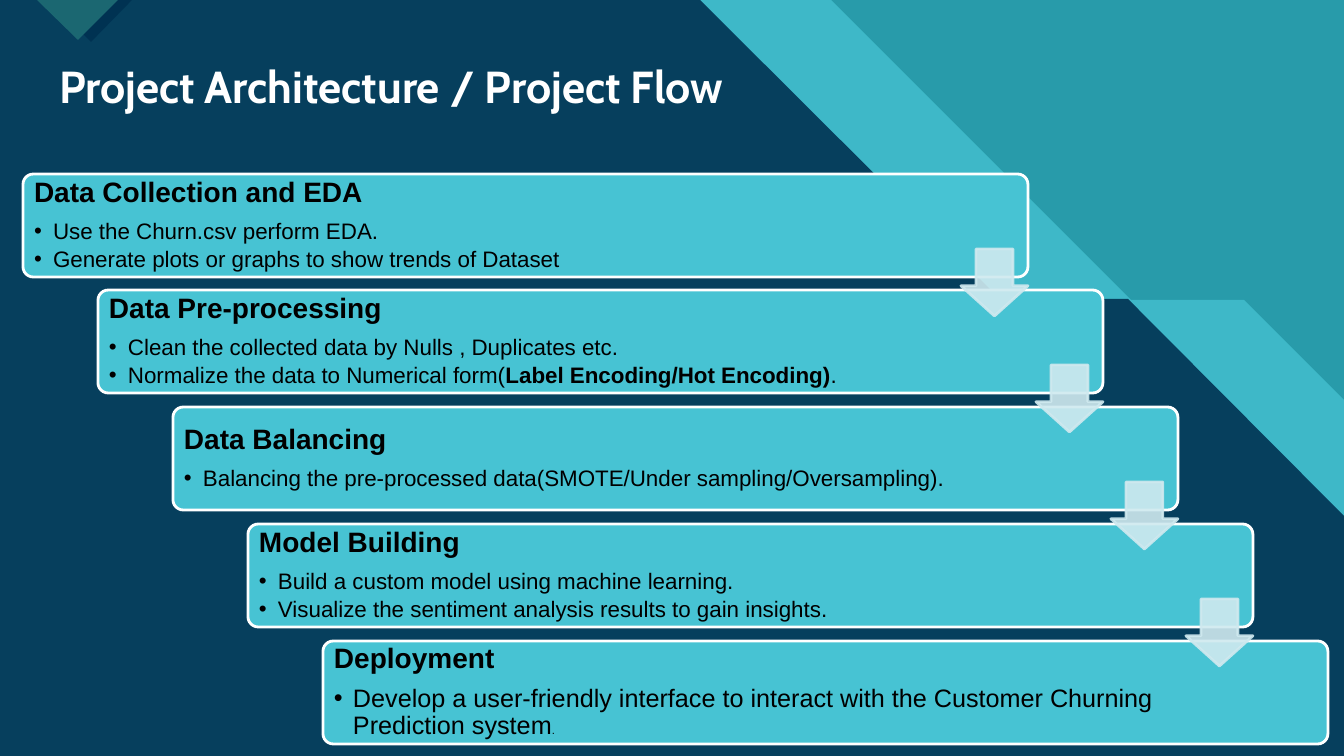
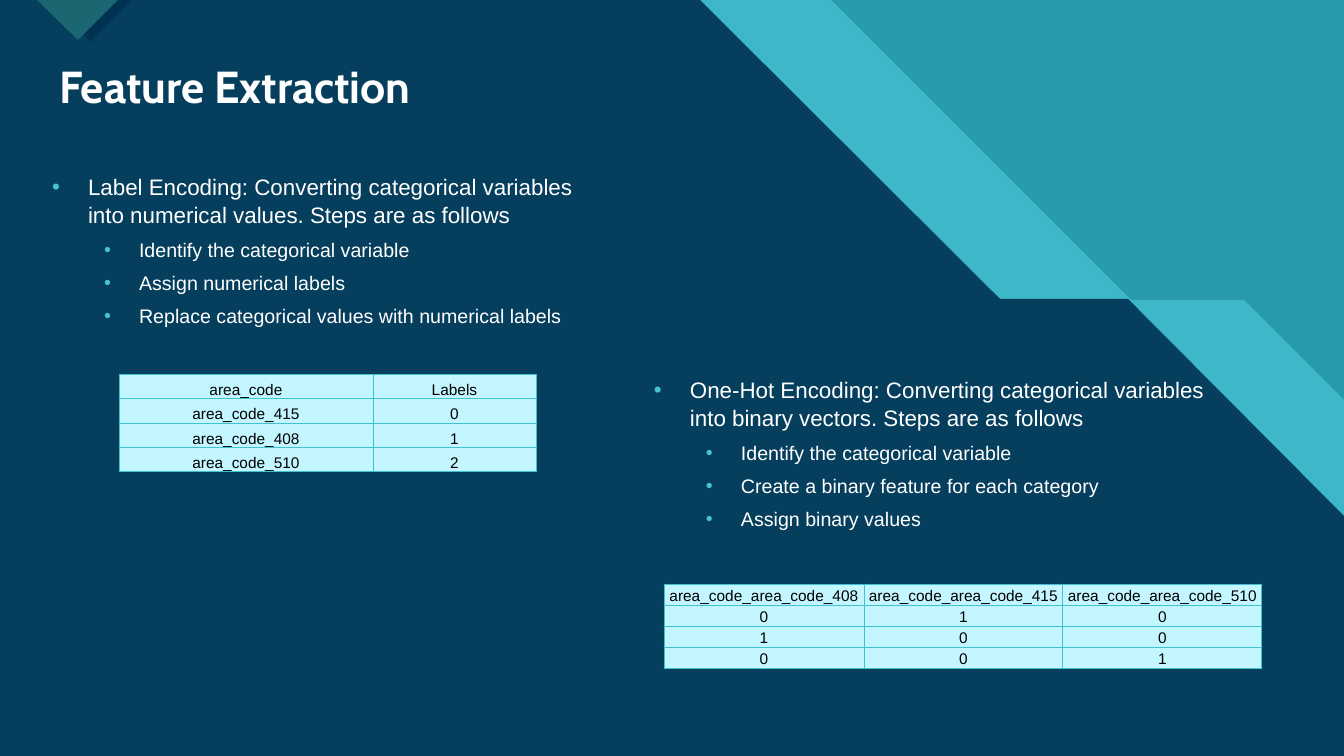
import pptx
import pptx.util
import pptx.dml.color
import pptx.enum.shapes
import pptx.enum.text
import pptx.oxml
import pptx.oxml.ns
from lxml import etree

STEPS = [
    ("Data Collection and EDA", [
        [("Use the Churn.csv perform EDA.", 16, False)],
        [("Generate plots or graphs to show trends of Dataset", 16, False)]]),
    ("Data Pre-processing", [
        [("Clean the collected data by Nulls , Duplicates etc.", 16, False)],
        [("Normalize the data to Numerical form(", 16, False),
         ("Label Encoding/Hot Encoding)", 16, True),
         (".", 16, False)]]),
    ("Data Balancing", [
        [("Balancing the pre-processed data(SMOTE/Under sampling/Oversampling).", 16, False)]]),
    ("Model Building", [
        [("Build a custom model using machine learning.", 16, False)],
        [("Visualize the sentiment analysis results to gain insights.", 16, False)]]),
    ("Deployment", [
        [("Develop a user-friendly interface to interact with the Customer Churning Prediction system", 18, False),
         (".", 8, False)]]),
]

LISTS = [
    ((28, 167, 560, 200),
     "Label Encoding: Converting categorical variables into numerical values. Steps are as follows",
     ["Identify the categorical variable",
      "Assign numerical labels",
      "Replace categorical values with numerical labels"]),
    ((630, 370, 614, 258),
     "One-Hot Encoding: Converting categorical variables into binary vectors. Steps are as follows",
     ["Identify the categorical variable",
      "Create a binary feature for each category",
      "Assign binary values"]),
]

TABLES = [
    ((119, 374), 98, [254, 163],
     [["area_code", "Labels"],
      ["area_code_415", "0"],
      ["area_code_408", "1"],
      ["area_code_510", "2"]]),
    ((664, 584), 84, [200, 199, 199],
     [["area_code_area_code_408", "area_code_area_code_415", "area_code_area_code_510"],
      ["0", "1", "0"],
      ["1", "0", "0"],
      ["0", "0", "1"]]),
]

WIDE, HIGH = 1344, 756
TEAL, CYAN, NAVY, DEEP = "289BAA", "47C3D3", "003252", "1B6771"
WHITE, BLACK, PALE, ICE, EDGE = "FFFFFF", "000000", "CFE9EF", "C4F6FF", "42C1D2"

BANDS = [
    ([(0, 0), (831, 0), (1131, 300), (1244, 300), (1344, 400), (1344, 756), (0, 756)], CYAN, 74),
    ([(0, 0), (700, 0), (1000, 299), (1128, 299), (1344, 516), (1344, 756), (0, 756)], NAVY, 90),
    ([(50, 0), (132, 0), (91, 42)], NAVY, 100),
    ([(37, 0), (118, 0), (78, 40)], DEEP, 100),
]

SCALE = 914400 / 100.8
ANCHOR = pptx.enum.text.MSO_ANCHOR
SHAPE = pptx.enum.shapes.MSO_SHAPE


def px(n):
    return pptx.util.Emu(round(n * SCALE))


def rgb(code):
    return pptx.dml.color.RGBColor.from_string(code)


def node(top, tag, **attrs):
    return etree.SubElement(top, pptx.oxml.ns.qn(tag), **attrs)


def paint(shape, fill, line=None, alpha=100):
    shape.shadow.inherit = False
    shape.fill.solid()
    shape.fill.fore_color.rgb = rgb(fill)
    if line:
        shape.line.color.rgb = rgb(line)
        shape.line.width = pptx.util.Pt(2)
    else:
        shape.line.fill.background()
    if alpha < 100:
        for tint in shape._element.spPr.iter(pptx.oxml.ns.qn("a:srgbClr")):
            node(tint, "a:alpha", val=str(alpha * 1000))


def frame(shape, pads, anchor):
    text = shape.text_frame
    text.word_wrap = True
    text.vertical_anchor = anchor
    text.margin_left, text.margin_top, text.margin_right, text.margin_bottom = map(px, pads)
    return text


def write(par, words, size, color, bold=False, font="Arial"):
    run = par.add_run()
    run.text = words
    run.font.size = pptx.util.Pt(size)
    run.font.name = font
    run.font.bold = bold
    run.font.color.rgb = rgb(color)


def add_par(text, first, space, before=0, after=0):
    par = text.paragraphs[0] if first else text.add_paragraph()
    par.alignment = pptx.enum.text.PP_ALIGN.LEFT
    par.line_spacing = space
    par.space_before = pptx.util.Pt(before)
    par.space_after = pptx.util.Pt(after)
    return par


def bullet(par, left, hang, color):
    prop = par._p.get_or_add_pPr()
    prop.set("marL", str(px(left)))
    prop.set("indent", str(-px(hang)))
    node(node(prop, "a:buClr"), "a:srgbClr", val=color)
    node(prop, "a:buFont", typeface="Arial")
    node(prop, "a:buChar", char="•")


def add_page(deck, title):
    page = deck.slides.add_slide(deck.slide_layouts[6])
    page.background.fill.solid()
    page.background.fill.fore_color.rgb = rgb(TEAL)
    for points, color, alpha in BANDS:
        path = page.shapes.build_freeform(*points[0], scale=SCALE)
        path.add_line_segments(points[1:], close=True)
        paint(path.convert_to_shape(), color, alpha=alpha)
    box = page.shapes.add_textbox(*map(px, (49, 59, 1236, 59)))
    text = frame(box, (10, 5, 10, 5), ANCHOR.MIDDLE)
    write(add_par(text, True, 0.9), title, 32, WHITE, True, "Cabin")
    return page


def add_steps(page):
    spots = [(23 + 75 * i, 174 + 467 * i // 4) for i in range(len(STEPS))]
    for (x, y), (head, items) in zip(spots, STEPS):
        box = page.shapes.add_shape(SHAPE.ROUNDED_RECTANGLE, *map(px, (x, y, 1005, 103)))
        box.adjustments[0] = 0.1
        paint(box, CYAN, WHITE)
        text = frame(box, (8, 0, 150, 0), ANCHOR.MIDDLE)
        write(add_par(text, True, 0.9, after=8), head, 20, BLACK, True)
        for runs in items:
            par = add_par(text, False, 0.9, after=3)
            bullet(par, 19, 19, BLACK)
            for words, size, bold in runs:
                write(par, words, size, BLACK, bold)
    for x, y in spots[:-1]:
        arrow = page.shapes.add_shape(SHAPE.DOWN_ARROW, *map(px, (x + 938, y + 75, 67, 67)))
        arrow.adjustments[0] = 0.55
        arrow.adjustments[1] = 0.45
        paint(arrow, PALE, PALE, 90)


def add_list(page, area, head, items):
    text = frame(page.shapes.add_textbox(*map(px, area)), (10, 5, 10, 5), ANCHOR.TOP)
    par = add_par(text, True, 1.05, before=6)
    bullet(par, 50, 36, CYAN)
    write(par, head, 16, WHITE)
    for item in items:
        par = add_par(text, False, 1.05, before=6)
        par.level = 1
        bullet(par, 101, 35, CYAN)
        write(par, item, 14, WHITE)


def style(cell, words):
    cell.fill.solid()
    cell.fill.fore_color.rgb = rgb(ICE)
    cell.margin_left = cell.margin_right = cell.margin_top = px(1)
    cell.margin_bottom = 0
    cell.vertical_anchor = ANCHOR.BOTTOM
    par = cell.text_frame.paragraphs[0]
    par.alignment = pptx.enum.text.PP_ALIGN.CENTER
    write(par, words, 11, BLACK)
    prop = cell._tc.get_or_add_tcPr()
    for i, side in enumerate("LRTB"):
        line = node(prop, "a:ln" + side, w=str(pptx.util.Pt(0.75)))
        node(node(line, "a:solidFill"), "a:srgbClr", val=EDGE)
        prop.insert(i, line)


def add_grid(page, spot, high, cols, rows):
    area = (*spot, sum(cols), high)
    grid = page.shapes.add_table(len(rows), len(cols), *map(px, area)).table
    grid.first_row = grid.horz_banding = False
    for col, wide in zip(grid.columns, cols):
        col.width = px(wide)
    for row, words in zip(grid.rows, rows):
        row.height = px(high / len(rows))
        for cell, word in zip(row.cells, words):
            style(cell, word)


def main():
    deck = pptx.Presentation()
    deck.slide_width, deck.slide_height = px(WIDE), px(HIGH)
    add_steps(add_page(deck, "Project Architecture / Project Flow"))
    page = add_page(deck, "Feature Extraction")
    for part in LISTS:
        add_list(page, *part)
    for part in TABLES:
        add_grid(page, *part)
    deck.save("out.pptx")


if __name__ == "__main__":
    main()
